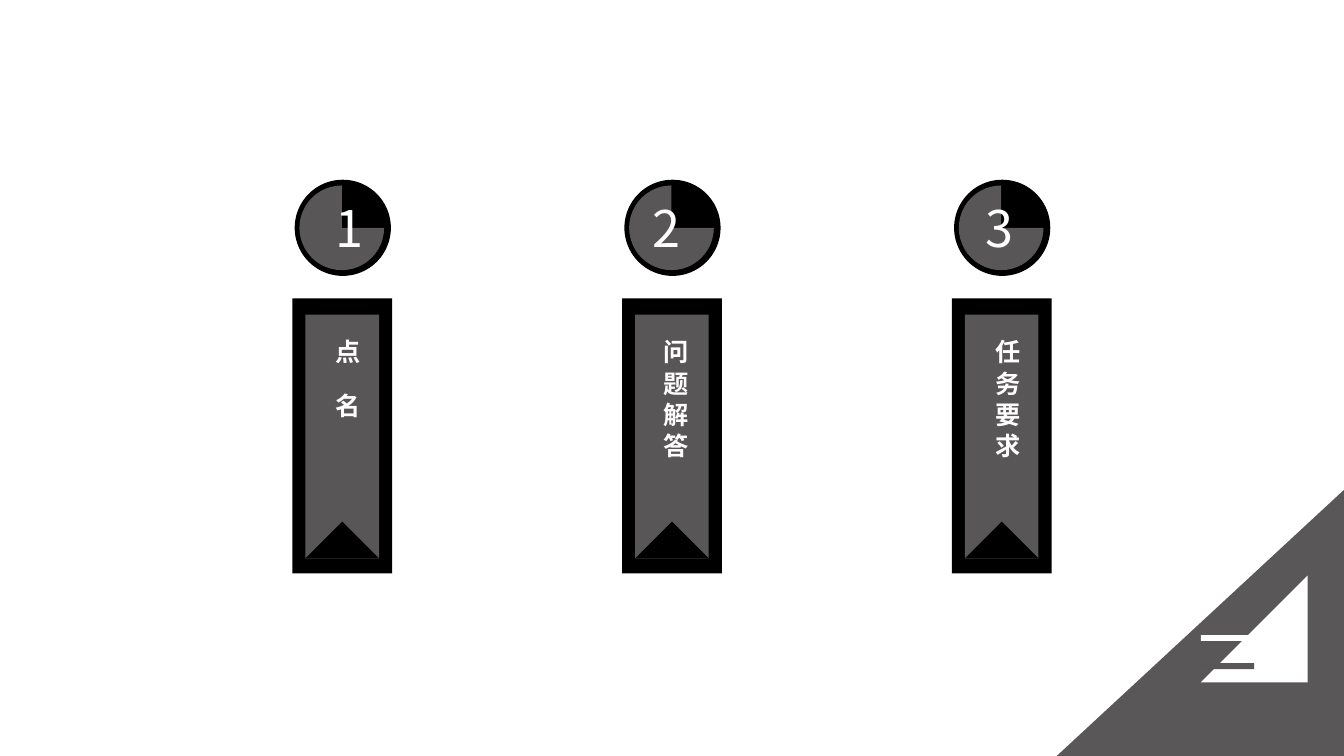
"""Build a slide with three numbered vertical banners and a corner ornament."""
from dataclasses import dataclass

from lxml.etree import SubElement
from pptx import Presentation
from pptx.dml.color import RGBColor
from pptx.enum.shapes import MSO_SHAPE
from pptx.enum.text import MSO_AUTO_SIZE
from pptx.oxml.ns import qn
from pptx.shapes.autoshape import Shape
from pptx.shapes.group import GroupShape
from pptx.util import Inches, Pt


@dataclass(frozen=True)
class Theme:
    black: str = "000000"
    gray: str = "585657"
    corner: str = "595758"
    white: str = "FFFFFF"
    font: str = "Noto Sans CJK SC"
    number: int = 36
    label: int = 18


@dataclass(frozen=True)
class Box:
    left: float
    top: float
    width: float
    height: float

    def shift(self, dx: float) -> "Box":
        return Box(self.left + dx, self.top, self.width, self.height)

    def emu(self) -> tuple:
        return tuple(Inches(v) for v in (self.left, self.top, self.width, self.height))


@dataclass(frozen=True)
class Part:
    kind: MSO_SHAPE
    box: Box
    color: str
    turn: float = 0
    edge: float = 0


@dataclass(frozen=True)
class Banner:
    number: str
    label: str
    digit_x: float
    label_x: float
    height: float = 1.58
    face: str = "Noto Sans CJK SC"
    gap: int = 0


THEME = Theme()
START, STEP = 2.9, 3.27
BADGE = (
    Part(MSO_SHAPE.OVAL, Box(0.03, 1.79, 0.94, 0.94), THEME.black, edge=1),
    Part(MSO_SHAPE.PIE, Box(0.07, 1.84, 0.84, 0.84), THEME.gray),
)
RIBBON = (
    Part(MSO_SHAPE.RECTANGLE, Box(0, 2.96, 0.99, 2.73), THEME.black),
    Part(MSO_SHAPE.RECTANGLE, Box(0.13, 3.12, 0.73, 2.42), THEME.gray),
    Part(MSO_SHAPE.RIGHT_TRIANGLE, Box(0.24, 5.28, 0.51, 0.51), THEME.black, 135),
)
CORNER = (
    Part(MSO_SHAPE.RIGHT_TRIANGLE, Box(10.58, 4.75, 2.65, 2.86), THEME.corner, 270),
    Part(MSO_SHAPE.RIGHT_TRIANGLE, Box(11.91, 5.71, 1.06, 1.06), THEME.white, 270),
    Part(MSO_SHAPE.RECTANGLE, Box(11.91, 6.58, 0.53, 0.06), THEME.gray),
    Part(MSO_SHAPE.RECTANGLE, Box(11.91, 6.3, 0.53, 0.06), THEME.white),
)
BANNERS = (
    Banner("1", "点 名", 0.33, 0.24, gap=800),
    Banner("2", "问 题 解 答", 0.2, 0.23, height=1.69, face="Arial"),
    Banner("3", "任 务 要 求", 0.24, 0.25),
)


def draw(group: GroupShape, part: Part, dx: float = 0) -> Shape:
    shape = group.shapes.add_shape(part.kind, *part.box.shift(dx).emu())
    shape.shadow.inherit = False
    shape.rotation = part.turn
    shape.fill.solid()
    shape.fill.fore_color.rgb = RGBColor.from_string(part.color)
    if part.edge:
        shape.line.color.rgb = RGBColor.from_string(part.color)
        shape.line.width = Pt(part.edge)
    else:
        shape.line.fill.background()
    return shape


def write(group: GroupShape, box: Box, text: str, style: dict,
          upright: bool = False, gap: int = 0) -> None:
    frame = group.shapes.add_textbox(*box.emu()).text_frame
    for name, value in {"word_wrap": True,
                        "auto_size": MSO_AUTO_SIZE.SHAPE_TO_FIT_TEXT}.items():
        setattr(frame, name, value)
    run = frame.paragraphs[0].add_run()
    run.text = text
    for name, value in style.items():
        setattr(run.font, name, value)
    run.font.color.rgb = RGBColor.from_string(THEME.white)
    props = run._r.get_or_add_rPr()
    SubElement(props, qn("a:ea")).set("typeface", THEME.font)
    if gap:
        props.set("spc", str(gap))
    if upright:
        frame._txBody.bodyPr.set("vert", "eaVert")


def main() -> None:
    deck = Presentation()
    deck.slide_width, deck.slide_height = Inches(13.33), Inches(7.5)
    slide = deck.slides.add_slide(deck.slide_layouts[6])
    for index, item in enumerate(BANNERS):
        left = START + index * STEP
        group = slide.shapes.add_group_shape()
        for part in BADGE:
            draw(group, part, left)
        write(group, Box(left + item.digit_x, 1.91, 0.43, 0.71), item.number,
              {"size": Pt(THEME.number), "name": THEME.font})
        for part in RIBBON:
            draw(group, part, left)
        write(group, Box(left + item.label_x, 3.27, 0.5, item.height), item.label,
              {"size": Pt(THEME.label), "name": item.face, "bold": True},
              upright=True, gap=item.gap)
    group = slide.shapes.add_group_shape()
    for part in CORNER:
        draw(group, part)
    deck.save("out.pptx")


if __name__ == "__main__":
    main()
